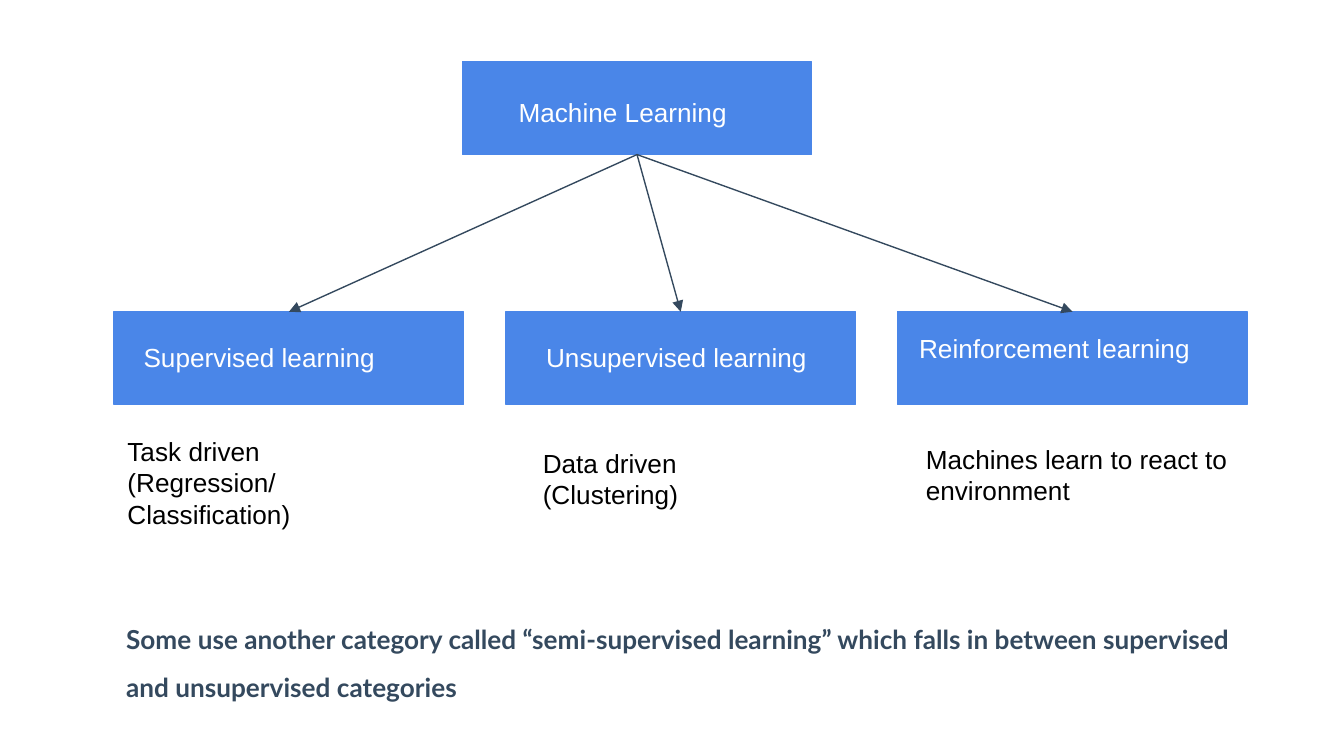
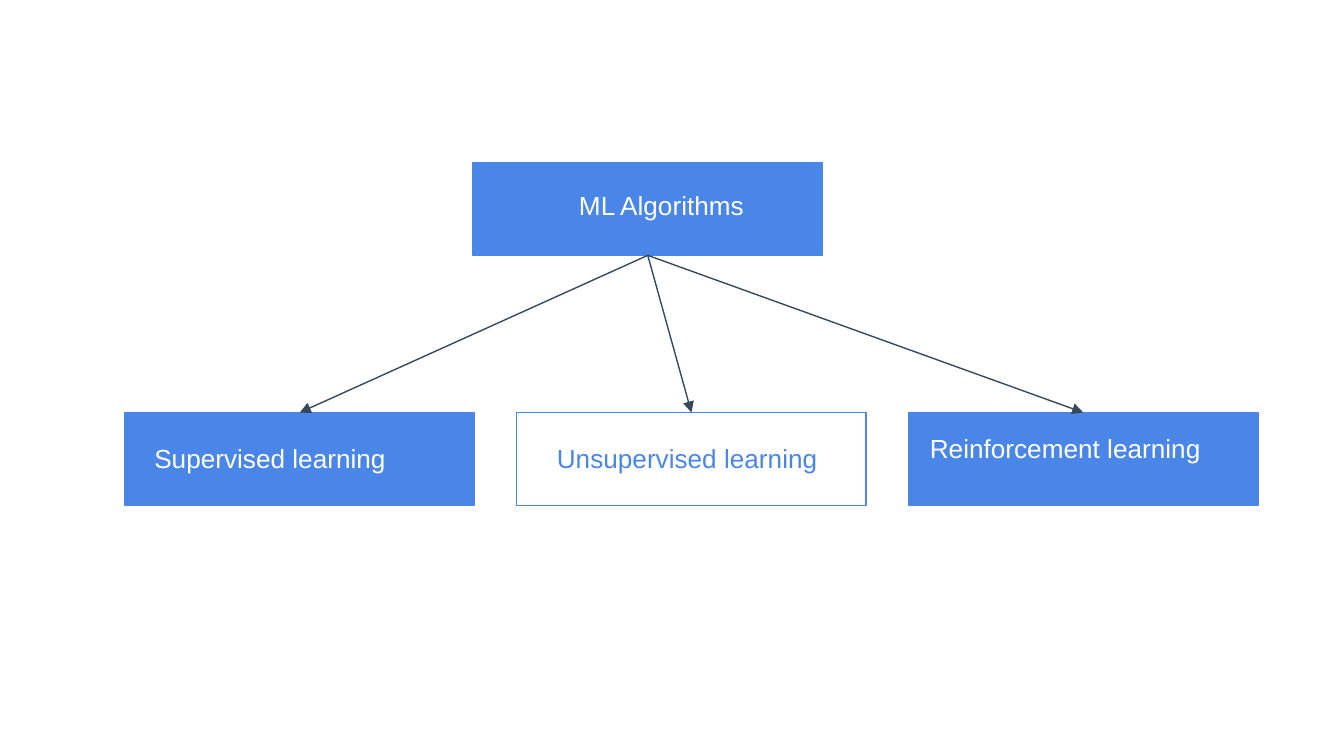
from lxml import etree
from pptx import Presentation
from pptx.dml.color import RGBColor
from pptx.enum import shapes, text
from pptx.oxml import ns
from pptx.util import Inches, Pt

BLUE = "4A86E8"
NAVY = "34495E"
WHITE = "FFFFFF"
BLACK = "000000"

BOX_WIDTH, BOX_HEIGHT = 2.6, 0.69
BRANCH_STEP = 2.915
BRANCH_DROP = 1.86
ROOT_INDENT = 2.59
BRANCHES = [
    ("Supervised learning", 0.12, 0.12, 2.27, 0.46),
    ("Unsupervised learning", 0.2, 0.12, 2.2, 0.37),
    ("Reinforcement learning", 0.06, 0.05, 2.48, 0.59),
]


def color(value):
    return RGBColor.from_string(value)


class Deck:
    def __init__(self):
        self.presentation = Presentation()
        self.presentation.slide_width = Inches(10)
        self.presentation.slide_height = Inches(5.625)
        self.slide = None

    def add_slide(self):
        self.slide = self.presentation.slides.add_slide(self.presentation.slide_layouts[6])
        fill = self.slide.background.fill
        fill.solid()
        fill.fore_color.rgb = color(WHITE)

    def box(self, left, top, fill=BLUE):
        shape = self.slide.shapes.add_shape(
            shapes.MSO_SHAPE.RECTANGLE,
            Inches(left), Inches(top), Inches(BOX_WIDTH), Inches(BOX_HEIGHT))
        shape.shadow.inherit = False
        shape.fill.solid()
        shape.fill.fore_color.rgb = color(fill)
        shape.line.color.rgb = color(BLUE)
        shape.line.width = Pt(0.75)
        return shape

    def arrow(self, parent, child):
        connector = self.slide.shapes.add_connector(shapes.MSO_CONNECTOR.STRAIGHT, 0, 0, 0, 0)
        connector.begin_connect(parent, 2)
        connector.end_connect(child, 0)
        connector.line.color.rgb = color(NAVY)
        connector.line.width = Pt(0.75)
        line = connector.line._get_or_add_ln()
        etree.SubElement(line, ns.qn("a:tailEnd"), type="triangle")
        etree.SubElement(connector._element.spPr, ns.qn("a:effectLst"))

    def text(self, content, left, top, width, height, ink=BLACK, font="Arial",
             bold=False, anchor=text.MSO_ANCHOR.TOP, line_spacing=1.0, space_before=0):
        shape = self.slide.shapes.add_textbox(
            Inches(left), Inches(top), Inches(width), Inches(height))
        frame = shape.text_frame
        frame.word_wrap = True
        frame.vertical_anchor = anchor
        frame.margin_left = frame.margin_right = Inches(0.1)
        frame.margin_top = frame.margin_bottom = Inches(0.1)
        frame.text = content
        for paragraph in frame.paragraphs:
            paragraph.line_spacing = line_spacing
            paragraph.space_before = Pt(space_before)
            for run in paragraph.runs:
                run.font.name = font
                run.font.size = Pt(14)
                run.font.bold = bold
                run.font.color.rgb = color(ink)

    def tree(self, left, top, root_label, label_left, label_top, label_width, outlined=None):
        branch_top = top + BRANCH_DROP
        branch_lefts = [left + index * BRANCH_STEP for index in range(len(BRANCHES))]
        root = self.box(left + ROOT_INDENT, top)
        branches = [
            self.box(branch_left, branch_top, WHITE if label == outlined else BLUE)
            for branch_left, (label, *_) in zip(branch_lefts, BRANCHES)
        ]
        for branch in branches:
            self.arrow(root, branch)
        self.text(root_label, label_left, label_top, label_width, 0.37, WHITE)
        for branch_left, (label, indent, drop, width, height) in zip(branch_lefts, BRANCHES):
            ink = BLUE if label == outlined else WHITE
            self.text(label, branch_left + indent, branch_top + drop, width, height, ink)


def main():
    deck = Deck()

    deck.add_slide()
    deck.tree(0.85, 0.46, "Machine Learning", 3.76, 0.62, 1.82)
    deck.text("Some use another category called “semi-supervised learning” "
              "which falls in between supervised and unsupervised categories",
              0.84, 4.22, 8.58, 1.31, NAVY, "Lato", True,
              text.MSO_ANCHOR.MIDDLE, 1.5, 2.8)
    deck.text("Task driven\n(Regression/Classification)", 0.85, 3.14, 2.07, 0.83)
    deck.text("Data driven\n(Clustering)", 3.94, 3.23, 2.48, 0.83)
    deck.text("Machines learn to react to environment", 6.79, 3.2, 2.48, 0.83)

    deck.add_slide()
    deck.tree(0.93, 1.21, "ML Algorithms", 4.21, 1.31, 1.54,
              outlined="Unsupervised learning")

    deck.presentation.save("out.pptx")


if __name__ == "__main__":
    main()
